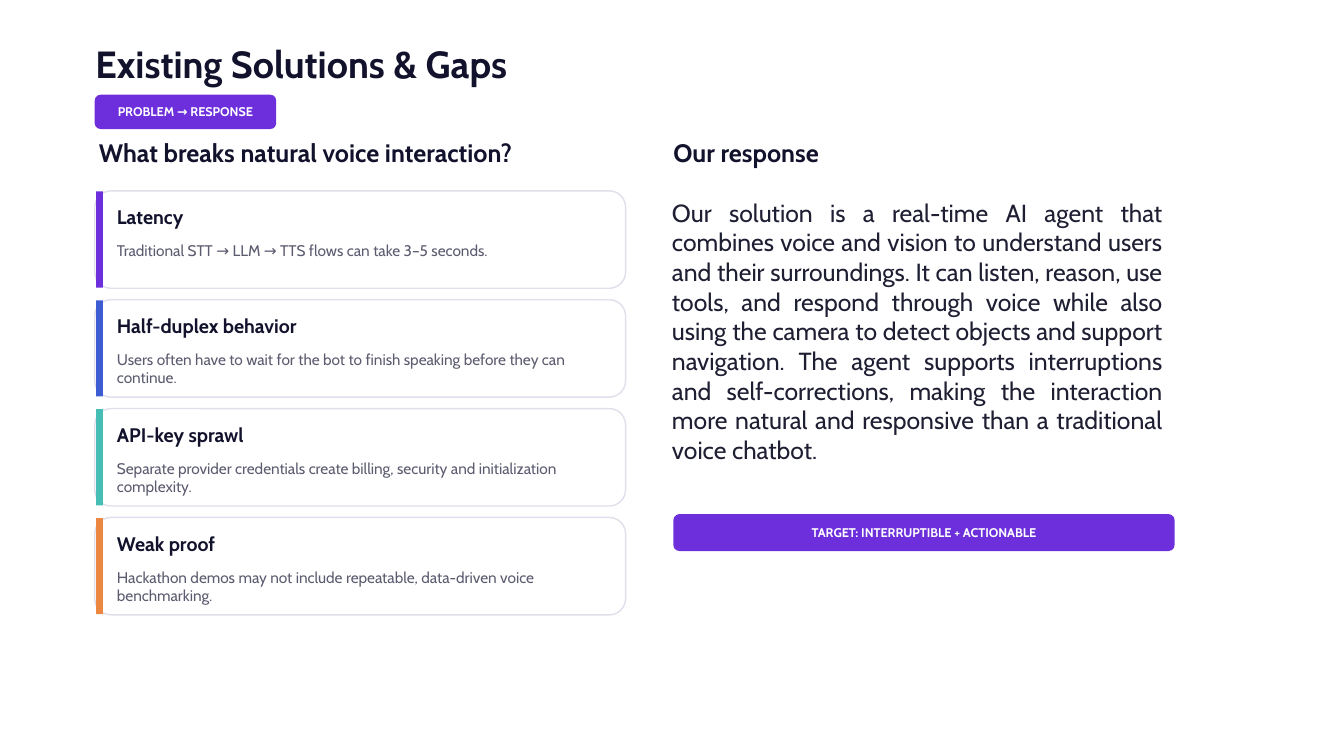
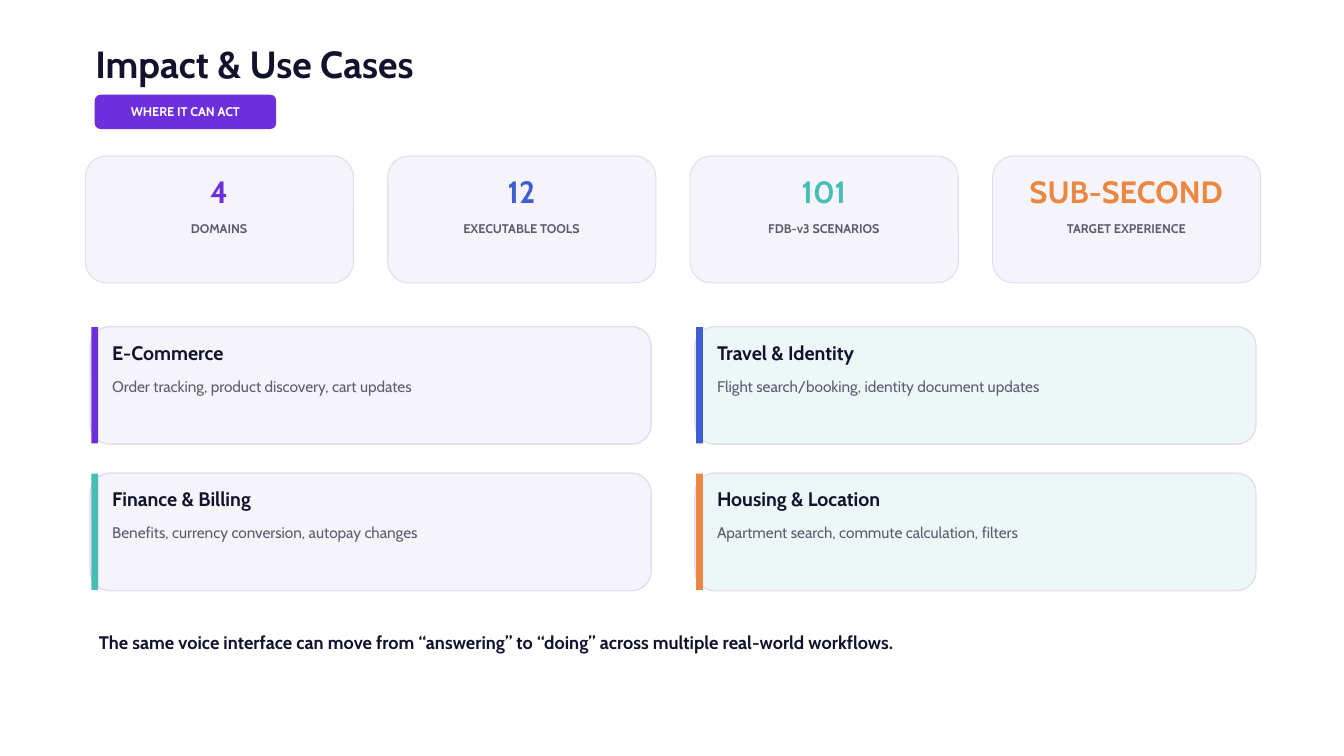
from pptx import Presentation
from pptx.dml.color import RGBColor
from pptx.enum.shapes import MSO_SHAPE
from pptx.enum.text import MSO_ANCHOR, PP_ALIGN
from pptx.util import Pt

PX = 9144
FONT = "Cabin"
LINE_RATIO = 1.2
RECT, ROUNDED = MSO_SHAPE.RECTANGLE, MSO_SHAPE.ROUNDED_RECTANGLE
LEFT, CENTER, JUSTIFY = PP_ALIGN.LEFT, PP_ALIGN.CENTER, PP_ALIGN.JUSTIFY
TOP, MIDDLE = MSO_ANCHOR.TOP, MSO_ANCHOR.MIDDLE

WHITE = RGBColor(0xFF, 0xFF, 0xFF)
INK = RGBColor(0x12, 0x12, 0x2D)
BODY = RGBColor(0x1F, 0x1F, 0x34)
MUTED = RGBColor(0x5C, 0x5C, 0x70)
BORDER = RGBColor(0xE1, 0xDF, 0xEB)
LILAC = RGBColor(0xF5, 0xF4, 0xFA)
MINT = RGBColor(0xEE, 0xF7, 0xF8)
PURPLE = RGBColor(0x6C, 0x2F, 0xDB)
BLUE = RGBColor(0x3F, 0x5D, 0xD3)
TEAL = RGBColor(0x47, 0xBE, 0xB5)
ORANGE = RGBColor(0xEB, 0x87, 0x41)
ACCENTS = (PURPLE, BLUE, TEAL, ORANGE)

GAPS = (
    ("Latency", "Traditional STT → LLM → TTS flows can take 3–5 seconds."),
    ("Half-duplex behavior",
     "Users often have to wait for the bot to finish speaking before they can continue."),
    ("API-key sprawl",
     "Separate provider credentials create billing, security and initialization complexity."),
    ("Weak proof",
     "Hackathon demos may not include repeatable, data-driven voice benchmarking."),
)
RESPONSE = (
    "Our solution is a real-time AI agent that combines voice and vision to understand "
    "users and their surroundings. It can listen, reason, use tools, and respond through "
    "voice while also using the camera to detect objects and support navigation. The agent "
    "supports interruptions and self-corrections, making the interaction more natural and "
    "responsive than a traditional voice chatbot."
)
METRICS = (
    ("4", "DOMAINS"),
    ("12", "EXECUTABLE TOOLS"),
    ("101", "FDB-v3 SCENARIOS"),
    ("SUB-SECOND", "TARGET EXPERIENCE"),
)
USE_CASES = (
    ("E-Commerce", "Order tracking, product discovery, cart updates"),
    ("Travel & Identity", "Flight search/booking, identity document updates"),
    ("Finance & Billing", "Benefits, currency conversion, autopay changes"),
    ("Housing & Location", "Apartment search, commute calculation, filters"),
)


class Deck:
    """Holds the deck's style and the current slide, measured in 1/100 inch px."""

    def __init__(self, width, height):
        self.prs = Presentation()
        self.prs.slide_width, self.prs.slide_height = width * PX, height * PX
        self.s = None

    def slide(self, title, tag):
        self.s = self.prs.slides.add_slide(self.prs.slide_layouts[6])
        self.text(142, 60, 1717, 77, title, 40.5, bold=True)
        self.pill(141, 141, 270, 51, tag)

    def set_text(self, shape, text, size, color, bold, align, anchor=TOP, inset=0):
        tf = shape.text_frame
        tf.text = text
        tf.word_wrap = True
        tf.vertical_anchor = anchor
        tf.margin_left = tf.margin_right = tf.margin_top = tf.margin_bottom = inset * PX
        p = tf.paragraphs[0]
        p.alignment = align
        p.line_spacing = Pt(size * LINE_RATIO)
        r = p.runs[0]
        r.font.name, r.font.size, r.font.bold = FONT, Pt(size), bold
        r.font.color.rgb = color

    def text(self, x, y, w, h, text, size, color=INK, bold=False, align=LEFT):
        box = self.s.shapes.add_textbox(x * PX, y * PX, w * PX, h * PX)
        self.set_text(box, text, size, color, bold, align)

    def block(self, kind, x, y, w, h, fill, line_width=None):
        sp = self.s.shapes.add_shape(kind, x * PX, y * PX, w * PX, h * PX)
        sp.shadow.inherit = False
        sp.fill.solid()
        sp.fill.fore_color.rgb = fill
        if line_width:
            sp.line.color.rgb = BORDER
            sp.line.width = Pt(line_width)
        else:
            sp.line.fill.background()
        return sp

    def pill(self, x, y, w, h, text):
        sp = self.block(ROUNDED, x, y, w, h, PURPLE)
        self.set_text(sp, text, 13.5, WHITE, True, CENTER, MIDDLE, 6)

    def heading(self, x, y, w, text):
        self.text(x, y, w, 56, text, 27, bold=True)

    def card(self, x, y, w, h, title, detail, accent, fill):
        self.block(ROUNDED, x, y, w, h, fill, 1.5)
        self.block(RECT, x + 2, y + 1, 10, h - 2, accent)
        self.text(x + 33, y + 21, w - 52, 42, title, 21, bold=True)
        self.text(x + 33, y + 75, w - 52, h - 90, detail, 16.5, MUTED)

    def metric(self, x, y, w, h, value, label, accent):
        self.block(ROUNDED, x, y, w, h, LILAC, 1.13)
        self.text(x + 27, y + 25, w - 55, 71, value, 33, accent, True, CENTER)
        self.text(x + 27, y + 96, w - 55, 42, label, 13.5, MUTED, True, CENTER)


def gaps_slide(deck):
    deck.slide("Existing Solutions & Gaps", "PROBLEM → RESPONSE")
    deck.heading(147, 204, 787, "What breaks natural voice interaction?")
    for i, ((title, detail), accent) in enumerate(zip(GAPS, ACCENTS)):
        deck.card(141, 284 + 162 * i, 790, 145, title, detail, accent, WHITE)
    deck.heading(1002, 204, 742, "Our response")
    deck.text(1000, 294, 730, 394, RESPONSE, 26.5, BODY, align=JUSTIFY)
    deck.pill(1002, 765, 746, 55, "TARGET: INTERRUPTIBLE + ACTIONABLE")


def impact_slide(deck):
    deck.slide("Impact & Use Cases", "WHERE IT CAN ACT")
    for i, ((value, label), accent) in enumerate(zip(METRICS, ACCENTS)):
        deck.metric(127 + 450 * i, 232, 399, 189, value, label, accent)
    for i, ((title, detail), accent) in enumerate(zip(USE_CASES, ACCENTS)):
        row, col = divmod(i, 2)
        deck.card(134 + 900 * col, 486 + 218 * row, 835, 175,
                  title, detail, accent, (LILAC, MINT)[col])
    deck.text(147, 939, 1642, 48,
              "The same voice interface can move from “answering” to “doing” "
              "across multiple real-world workflows.", 19.5, bold=True)


def main():
    deck = Deck(2000, 1125)
    gaps_slide(deck)
    impact_slide(deck)
    deck.prs.save("out.pptx")


if __name__ == "__main__":
    main()
